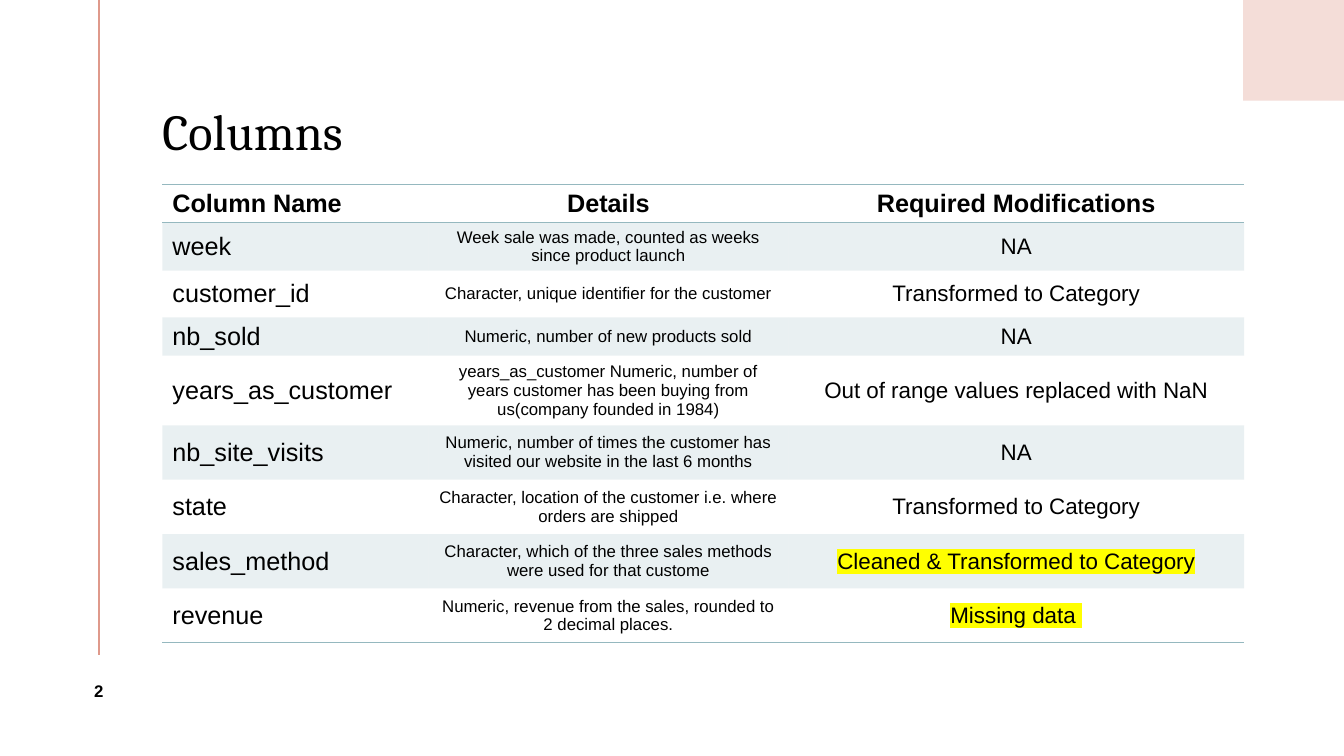
from lxml.etree import SubElement
from pptx import Presentation
from pptx.dml.color import RGBColor
from pptx.enum.shapes import MSO_CONNECTOR, MSO_SHAPE
from pptx.enum.text import MSO_ANCHOR, PP_ALIGN
from pptx.oxml.ns import qn
from pptx.util import Inches, Pt

SLIDE_WIDTH, SLIDE_HEIGHT = Inches(13.33), Inches(7.5)
COLORS = {
    "text": "000000",
    "corner": "F4DDD8",
    "margin": "DF998B",
    "teal": "95B8BF",
    "marker": "FFFF00",
}
BODY_FONT, TITLE_FONT = "Arial", "Cambria"
NO_STYLE_NO_GRID = "{2D5ABB26-0587-4C30-8999-92F81FD0307C}"

# Shares of the slide, in percent
CONTENT_LEFT, CONTENT_WIDTH = 12.08, 80.49
COLUMN_SHARES = (19.8, 26.78, 33.91)
ROW_SHARES = (5.07, 6.2, 6.2, 5.07, 9.2, 7.2, 7.2, 7.2, 7.2)
COLUMN_SIZES = (18, 12, 16)

HEADINGS = ("Column Name", "Details", "Required Modifications")
FIELDS = (
    ("week", "Week sale was made, counted as weeks since product launch", "NA"),
    ("customer_id", "Character, unique identifier for the customer",
     "Transformed to Category"),
    ("nb_sold", "Numeric, number of new products sold", "NA"),
    ("years_as_customer",
     "years_as_customer Numeric, number of years customer has been buying "
     "from us(company founded in 1984)",
     "Out of range values replaced with NaN"),
    ("nb_site_visits",
     "Numeric, number of times the customer has visited our website in the "
     "last 6 months", "NA"),
    ("state", "Character, location of the customer i.e. where orders are shipped",
     "Transformed to Category"),
    ("sales_method",
     "Character, which of the three sales methods were used for that custome",
     "Cleaned & Transformed to Category"),
    ("revenue", "Numeric, revenue from the sales, rounded to 2 decimal places.",
     "Missing data "),
)
HIGHLIGHTED = {"Cleaned & Transformed to Category", "Missing data "}


def across(percent):
    return round(SLIDE_WIDTH * percent / 100)


def down(percent):
    return round(SLIDE_HEIGHT * percent / 100)


def area(left, top, width, height):
    return across(left), down(top), across(width), down(height)


def rgb(name):
    return RGBColor.from_string(COLORS[name])


def add_run(paragraph, text, size, font=BODY_FONT, bold=False):
    run = paragraph.add_run()
    run.text = text
    run.font.size = Pt(size)
    run.font.name = font
    run.font.bold = bold
    run.font.color.rgb = rgb("text")
    return run


def highlight(run):
    properties = run.font._element
    marker = SubElement(properties, qn("a:highlight"))
    SubElement(marker, qn("a:srgbClr"), val=COLORS["marker"])
    properties.find(qn("a:solidFill")).addnext(marker)


def add_label(slide, place):
    frame = slide.shapes.add_textbox(*place).text_frame
    frame.word_wrap = True
    frame.vertical_anchor = MSO_ANCHOR.MIDDLE
    return frame


def add_decoration(slide):
    corner = slide.shapes.add_shape(MSO_SHAPE.RECTANGLE, *area(92.5, 0, 7.5, 13.33))
    corner.shadow.inherit = False
    corner.fill.solid()
    corner.fill.fore_color.rgb = rgb("corner")
    corner.line.fill.background()

    margin = slide.shapes.add_connector(
        MSO_CONNECTOR.STRAIGHT, across(7.35), 0, across(7.35), down(86.67))
    margin.line.color.rgb = rgb("margin")
    margin.line.width = Pt(1.5)
    SubElement(margin._element.spPr, qn("a:effectLst"))


def add_rule(cell, side):
    edge = SubElement(cell._tc.get_or_add_tcPr(), qn(f"a:{side}"), w=str(Pt(1)))
    fill = SubElement(edge, qn("a:solidFill"))
    SubElement(fill, qn("a:srgbClr"), val=COLORS["teal"])


def fill_cell(cell, banded):
    if not banded:
        cell.fill.background()
        return
    cell.fill.solid()
    cell.fill.fore_color.rgb = rgb("teal")
    tint = cell._tc.tcPr.find(qn("a:solidFill")).find(qn("a:srgbClr"))
    SubElement(tint, qn("a:alpha"), val="20000")


def write_cell(cell, text, row, column):
    is_heading = row == 0
    cell.vertical_anchor = MSO_ANCHOR.MIDDLE
    paragraph = cell.text_frame.paragraphs[0]
    paragraph.alignment = PP_ALIGN.CENTER if column else PP_ALIGN.LEFT
    size = 18 if is_heading else COLUMN_SIZES[column]
    run = add_run(paragraph, text, size, bold=is_heading)
    if text in HIGHLIGHTED:
        highlight(run)

    # Borders come before the fill in the cell properties
    if is_heading:
        add_rule(cell, "lnT")
    if row in (0, len(FIELDS)):
        add_rule(cell, "lnB")
    fill_cell(cell, banded=row % 2 == 1)


def add_field_table(slide):
    rows = (HEADINGS, *FIELDS)
    frame = slide.shapes.add_table(
        len(rows), len(HEADINGS),
        *area(CONTENT_LEFT, 24.4, CONTENT_WIDTH, sum(ROW_SHARES)))
    table = frame.table
    table.horz_banding = False
    table._tbl.tblPr.find(qn("a:tableStyleId")).text = NO_STYLE_NO_GRID
    for column, share in zip(table.columns, COLUMN_SHARES):
        column.width = across(share)
    for row, share in zip(table.rows, ROW_SHARES):
        row.height = down(share)
    for row, texts in enumerate(rows):
        for column, text in enumerate(texts):
            write_cell(table.cell(row, column), text, row, column)


def add_page_number(slide):
    paragraph = add_label(slide, area(3.38, 86.67, 7.95, 9.47)).paragraphs[0]
    paragraph.alignment = PP_ALIGN.CENTER
    number = add_run(paragraph, "2", 12, bold=True)
    number.font._element.set("spc", "150")


def add_title(slide):
    frame = add_label(slide, area(CONTENT_LEFT, 7.33, CONTENT_WIDTH, 20.8))
    frame.margin_left = 0
    paragraph = frame.paragraphs[0]
    paragraph.line_spacing = 0.9
    add_run(paragraph, "Columns", 36, TITLE_FONT)


def main():
    deck = Presentation()
    deck.slide_width, deck.slide_height = SLIDE_WIDTH, SLIDE_HEIGHT
    slide = deck.slides.add_slide(deck.slide_layouts[6])
    add_decoration(slide)
    add_field_table(slide)
    add_page_number(slide)
    add_title(slide)
    deck.save("out.pptx")


if __name__ == "__main__":
    main()
